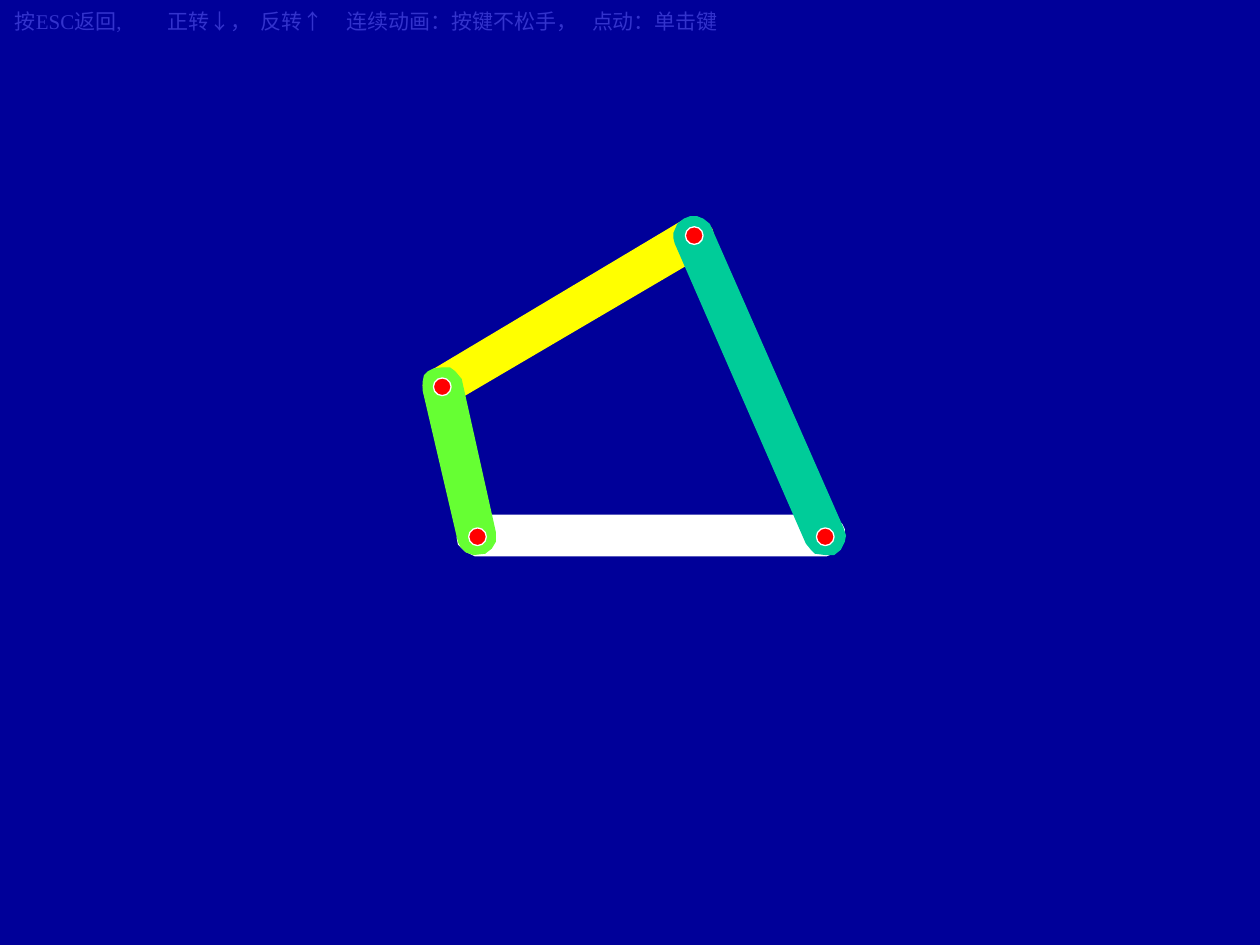
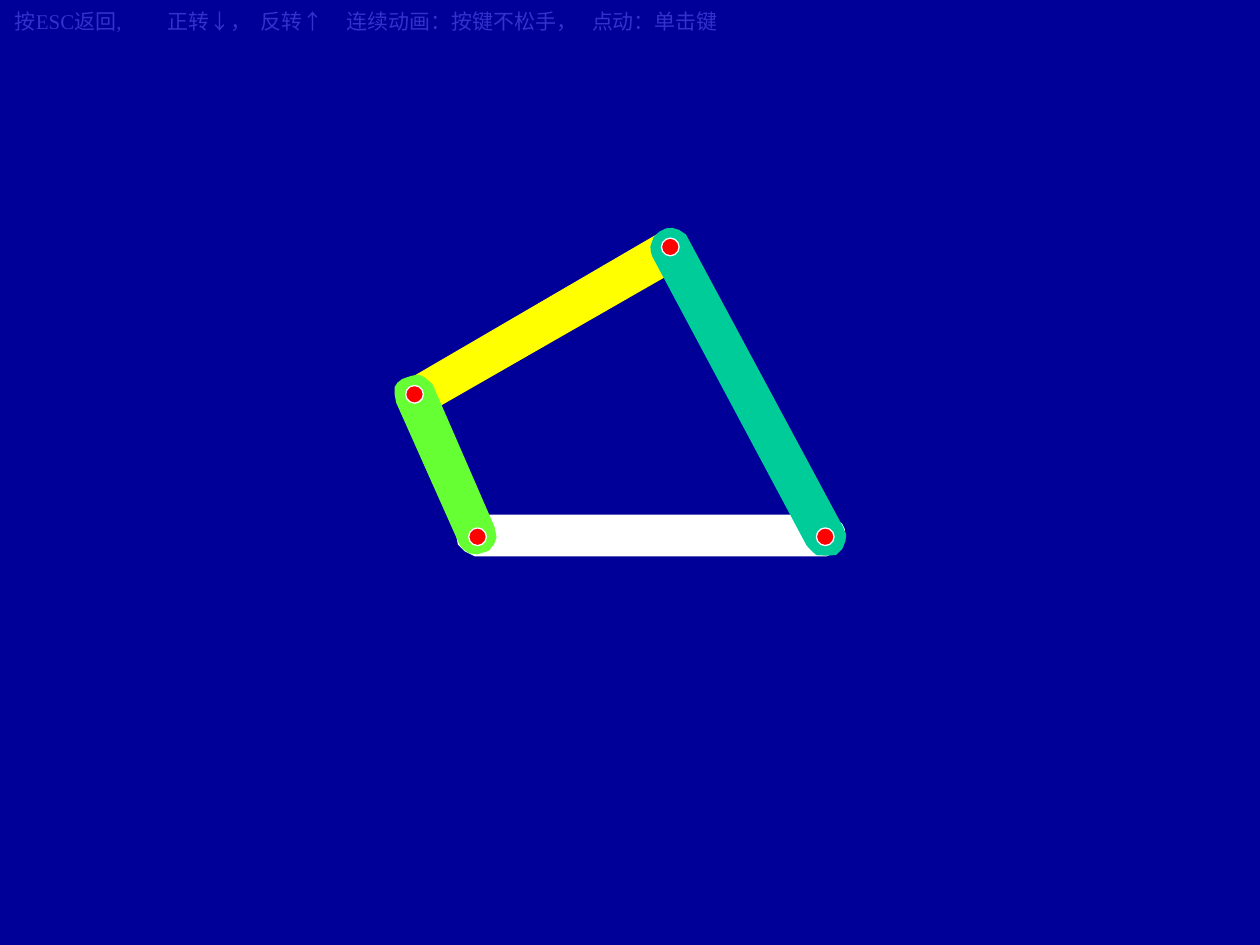
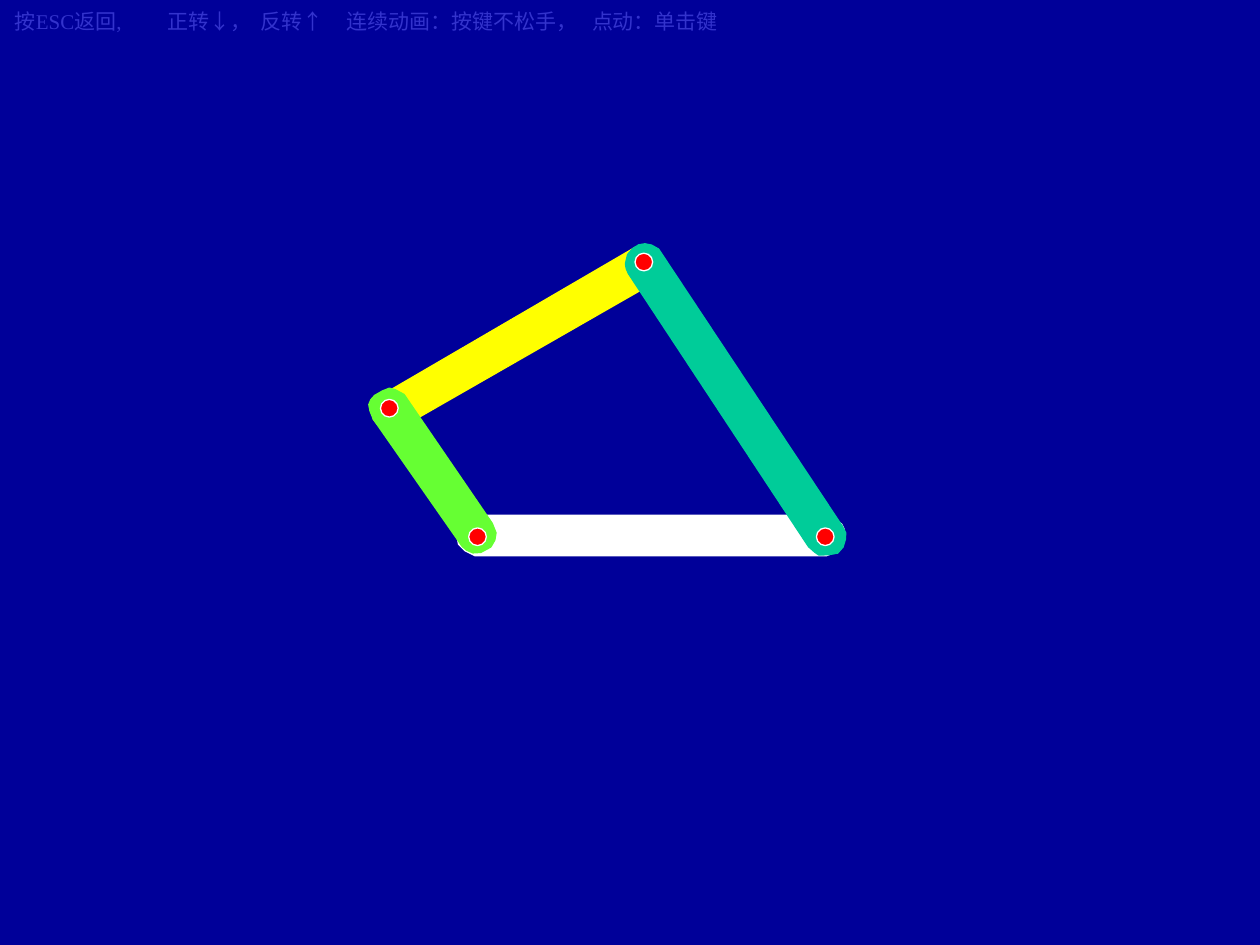
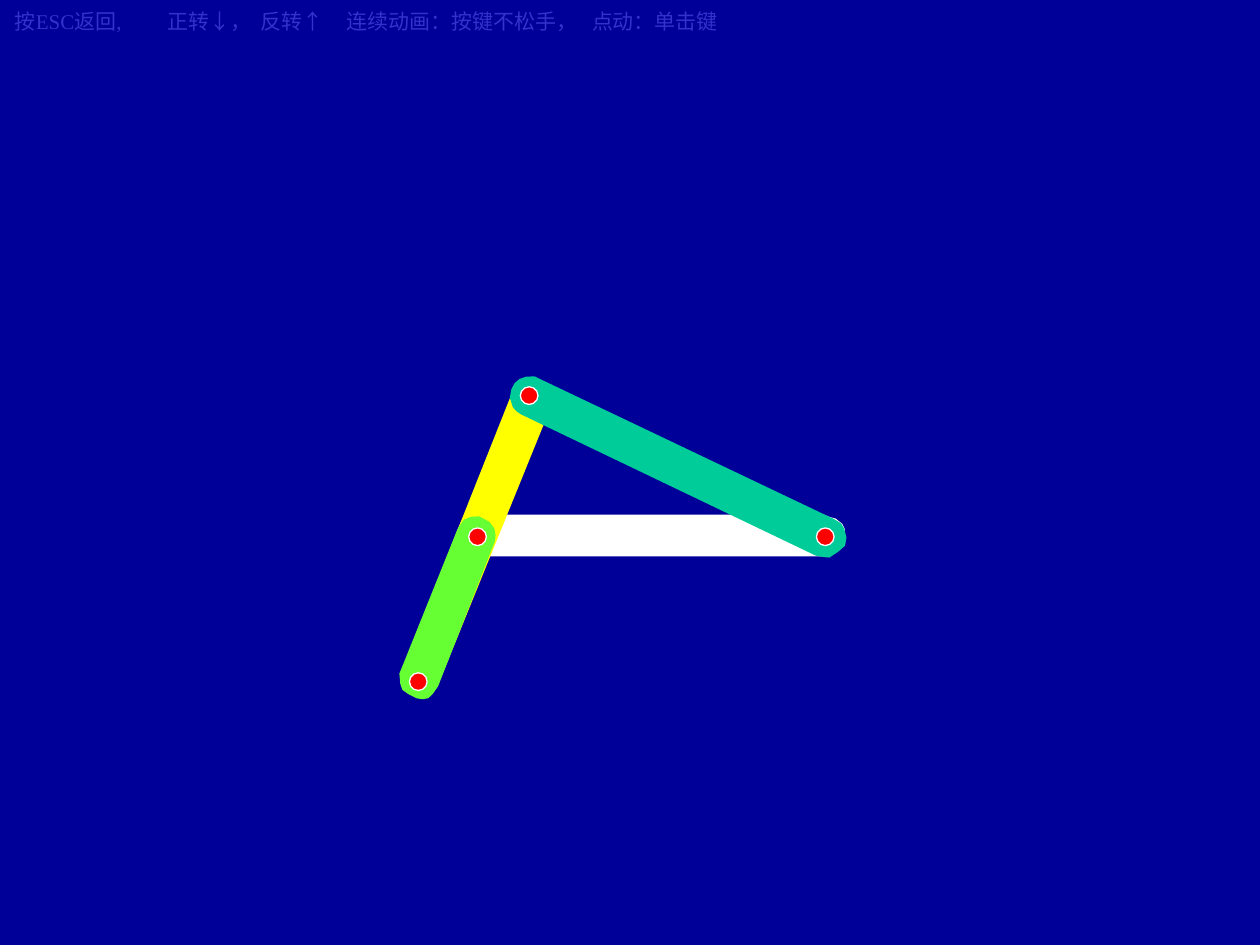
from dataclasses import dataclass

from lxml import etree
from pptx import Presentation
from pptx.dml.color import RGBColor
from pptx.enum.shapes import MSO_SHAPE
from pptx.enum.text import MSO_AUTO_SIZE
from pptx.oxml.ns import qn
from pptx.util import Inches, Pt

ELLIPSE = MSO_SHAPE.OVAL
GROW = MSO_AUTO_SIZE.SHAPE_TO_FIT_TEXT

# The slide is a grid of 1000 columns by 750 rows of square cells
SLIDE_W, SLIDE_H = Inches(10), Inches(7.5)
COLUMNS = 1000
CELL = SLIDE_W // COLUMNS

NAVY = RGBColor(0x00, 0x00, 0x99)
BLUE = RGBColor(0x33, 0x33, 0xCC)
WHITE = RGBColor(0xFF, 0xFF, 0xFF)
YELLOW = RGBColor(0xFF, 0xFF, 0x00)
LIME = RGBColor(0x66, 0xFF, 0x33)
TEAL = RGBColor(0x00, 0xCC, 0x99)
RED = RGBColor(0xFF, 0x00, 0x00)

FONT = "Times New Roman"
LINE_WIDTH = Pt(0.75)
PIN_SIZE = 14

# Key hints: each phrase with its tab stop, in columns from the text edge
HINT_BOX = (2, 2, 649, 30)
HINTS = [
    ("按ESC返回,", 0),
    ("正转↓，", 121),
    ("反转↑", 195),
    ("连续动画：按键不松手，", 263),
    ("点动：单击键", 458),
]


@dataclass(frozen=True)
class Link:
    """A bar of the four-bar linkage, outlined in its unrotated pose."""
    color: RGBColor
    outline: list[tuple[int, int]]


@dataclass(frozen=True)
class Pose:
    """Top left cell of a link's unrotated frame, and its turn in degrees."""
    col: int
    row: int
    turn: float = 0


@dataclass(frozen=True)
class Position:
    """One moment of the motion: moving links and their two moving pins."""
    coupler: Pose
    crank: Pose
    rocker: Pose
    crank_pin: tuple[int, int]
    rocker_pin: tuple[int, int]


FRAME = Link(WHITE, [
    (378, 409), (654, 409), (659, 411), (663, 412), (668, 416), (670, 420),
    (670, 426), (668, 432), (666, 436), (661, 439), (656, 441), (377, 441),
    (369, 437), (364, 432), (363, 427), (364, 420), (366, 415), (370, 411)])
COUPLER = Link(YELLOW, [
    (343, 294), (544, 174), (552, 173), (556, 174), (562, 178), (565, 182),
    (567, 189), (564, 197), (559, 202), (358, 320), (353, 322), (347, 321),
    (342, 319), (337, 313), (336, 306), (338, 298)])
CRANK = Link(LIME, [
    (364, 430), (336, 310), (336, 303), (337, 298), (340, 295), (344, 293),
    (351, 292), (357, 292), (361, 295), (366, 301), (393, 422), (393, 430),
    (390, 435), (385, 439), (376, 440), (370, 438), (366, 434)])
ROCKER = Link(TEAL, [
    (640, 431), (536, 193), (535, 189), (535, 185), (538, 178), (543, 174),
    (548, 172), (553, 172), (558, 174), (563, 178), (669, 419), (671, 425),
    (670, 430), (667, 436), (662, 440), (655, 440), (647, 439), (644, 436)])

FRAME_POSE = Pose(363, 409)
FIXED_PINS = [(648, 419), (372, 419)]

POSITIONS = [
    Position(Pose(336, 173), Pose(336, 292), Pose(535, 172),
             (344, 300), (544, 180)),
    Position(Pose(317, 182, 0.6), Pose(325, 295, 349.1), Pose(526, 177, 355.5),
             (322, 306), (525, 189)),
    Position(Pose(296, 194, 0.6), Pose(315, 300, 338.2), Pose(516, 183, 350.2),
             (302, 317), (504, 201)),
    Position(Pose(262, 354, 322.5), Pose(327, 408, 214.5), Pose(470, 236, 319.2),
             (325, 534), (413, 307)),
]


def paint(shape, fill: RGBColor, line: RGBColor) -> None:
    shape.shadow.inherit = False
    shape.fill.solid()
    shape.fill.fore_color.rgb = fill
    shape.line.color.rgb = line
    shape.line.width = LINE_WIDTH


def add_link(s, link: Link, pose: Pose) -> None:
    builder = s.shapes.build_freeform(*link.outline[0], scale=CELL)
    builder.add_line_segments(link.outline[1:], close=True)
    sp = builder.convert_to_shape()
    sp.left, sp.top = pose.col * CELL, pose.row * CELL
    sp.rotation = pose.turn
    paint(sp, link.color, link.color)


def add_pin(s, col: int, row: int) -> None:
    sp = s.shapes.add_shape(ELLIPSE, col * CELL, row * CELL,
                            PIN_SIZE * CELL, PIN_SIZE * CELL)
    paint(sp, RED, WHITE)


def add_hints(s) -> None:
    tf = s.shapes.add_textbox(*(n * CELL for n in HINT_BOX)).text_frame
    tf.word_wrap = True
    tf.auto_size = GROW
    p = tf.paragraphs[0]
    p.add_run().text = "\t".join(phrase for phrase, _ in HINTS)
    p.font.name, p.font.size = FONT, Pt(12)
    p.font.color.rgb = BLUE
    # Tab stops come before the default run properties
    tabs = etree.Element(qn("a:tabLst"))
    for _, stop in HINTS[1:]:
        etree.SubElement(tabs, qn("a:tab"), pos=str(stop * CELL), algn="l")
    p._p.get_or_add_pPr().insert(0, tabs)


def add_position(prs, position: Position) -> None:
    s = prs.slides.add_slide(prs.slide_layouts[6])
    for link, pose in [(FRAME, FRAME_POSE), (COUPLER, position.coupler),
                       (CRANK, position.crank), (ROCKER, position.rocker)]:
        add_link(s, link, pose)
    for pin in [position.crank_pin, position.rocker_pin, *FIXED_PINS]:
        add_pin(s, *pin)
    add_hints(s)


def main() -> None:
    prs = Presentation()
    prs.slide_width, prs.slide_height = SLIDE_W, SLIDE_H
    # Shared background
    background = prs.slide_master.background.fill
    background.solid()
    background.fore_color.rgb = NAVY
    for position in POSITIONS:
        add_position(prs, position)
    prs.save("out.pptx")


if __name__ == "__main__":
    main()
